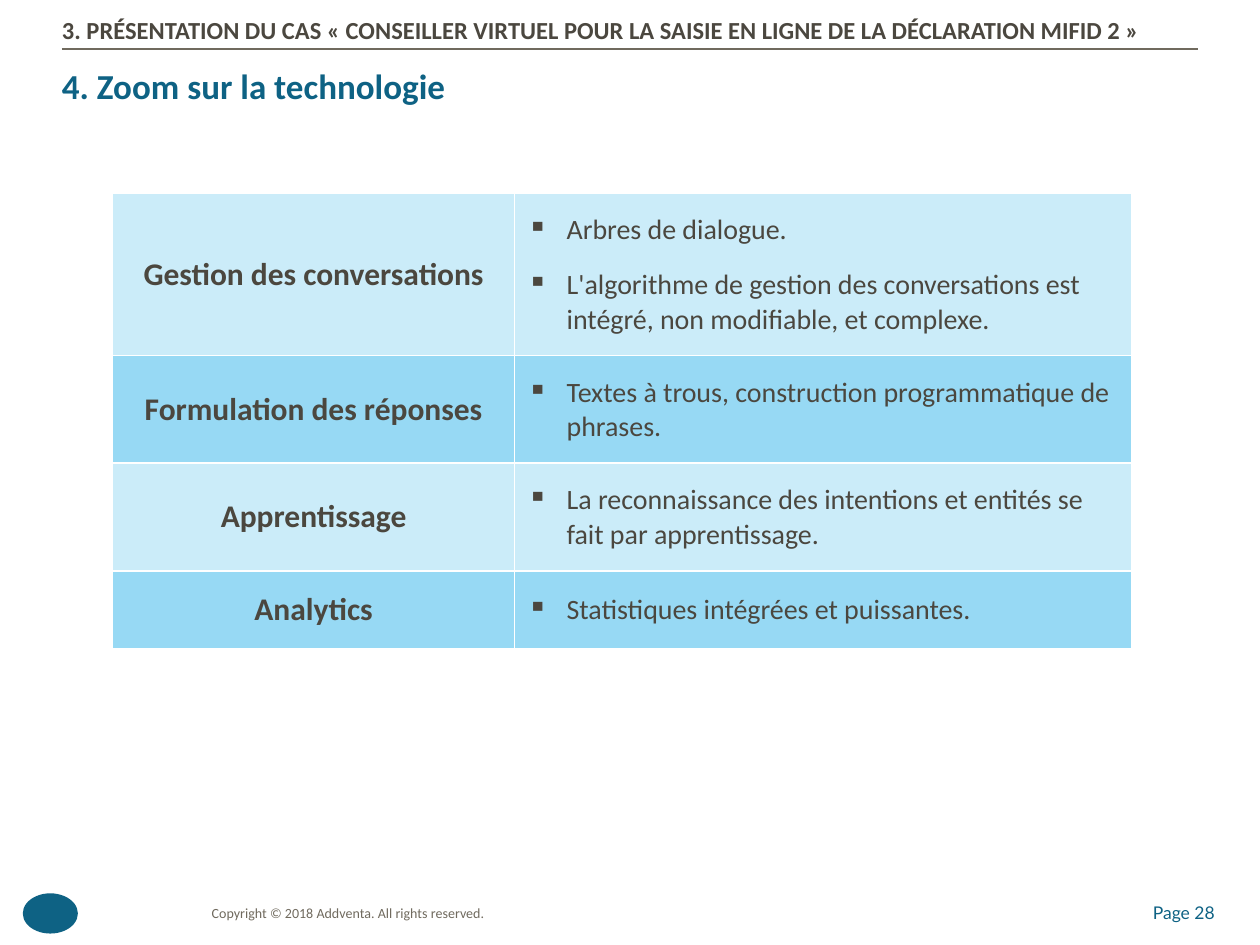
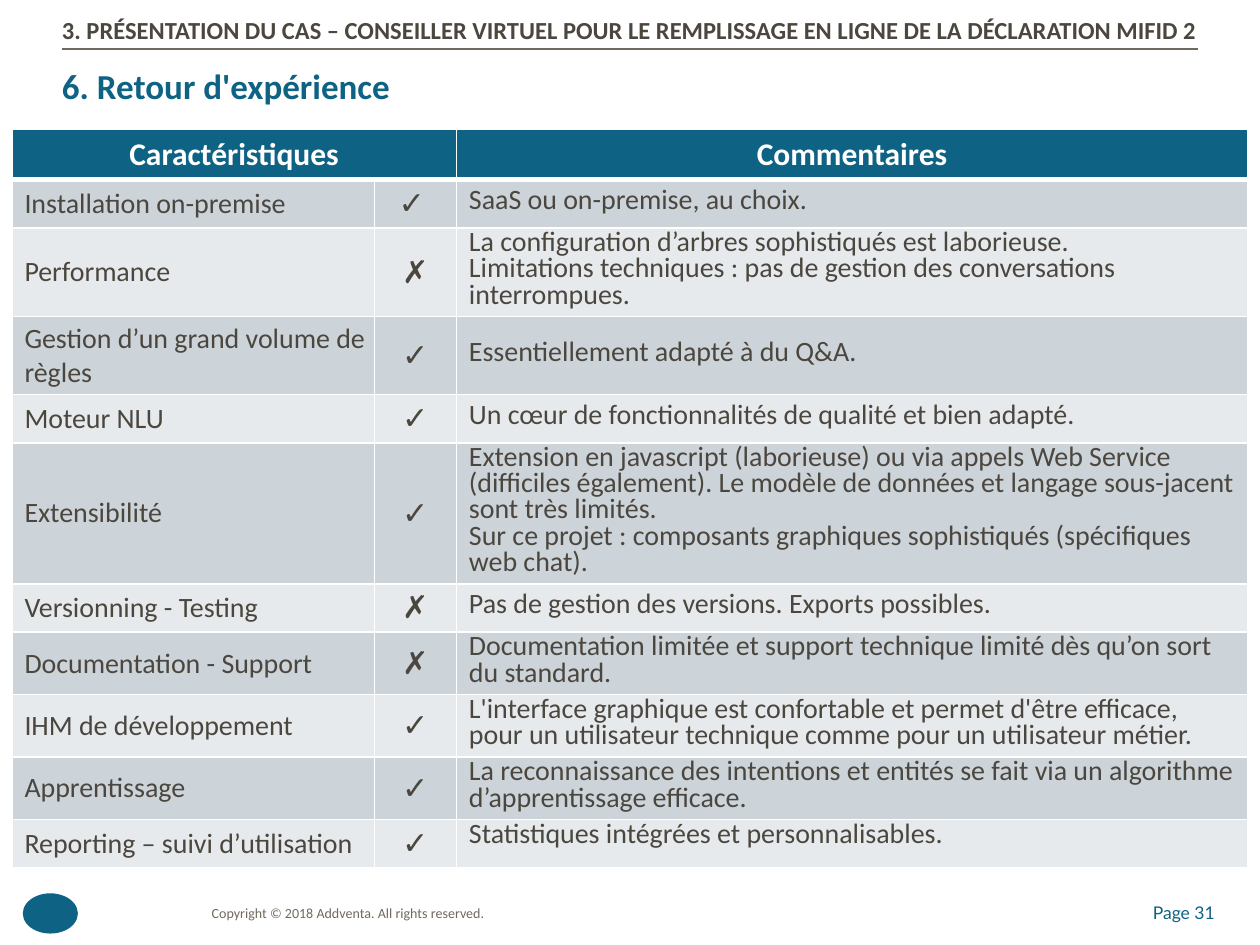
from dataclasses import dataclass

from lxml import etree
from pptx import Presentation
from pptx import util as u
from pptx.dml.color import RGBColor
from pptx.enum import shapes, text
from pptx.oxml import ns

Pt = u.Pt
CENTER, RIGHT = text.PP_ALIGN.CENTER, text.PP_ALIGN.RIGHT
TOP, MIDDLE = text.MSO_ANCHOR.TOP, text.MSO_ANCHOR.MIDDLE

# ---- Content ----
COPYRIGHT = "Copyright © 2018 Addventa. All rights reserved."

TECHNOLOGY = {
    "page": 28,
    "chapter": "3. PRÉSENTATION DU CAS « CONSEILLER VIRTUEL POUR LA SAISIE "
               "EN LIGNE DE LA DÉCLARATION MIFID 2 »",
    "heading": "4. Zoom sur la technologie",
    # topic, points, row height
    "topics": [
        ("Gestion des conversations",
         ["Arbres de dialogue.",
          "L'algorithme de gestion des conversations est intégré, "
          "non modifiable, et complexe."], 93),
        ("Formulation des réponses",
         ["Textes à trous, construction programmatique de phrases."], 61.5),
        ("Apprentissage",
         ["La reconnaissance des intentions et entités se fait par "
          "apprentissage."], 61.5),
        ("Analytics", ["Statistiques intégrées et puissantes."], 44.5),
    ],
}

FEEDBACK = {
    "page": 31,
    "chapter": "3. PRÉSENTATION DU CAS – CONSEILLER VIRTUEL POUR LE "
               "REMPLISSAGE EN LIGNE DE LA DÉCLARATION MIFID 2",
    "heading": "6. Retour d'expérience",
    "headers": ("Caractéristiques", "Commentaires"),
    # feature, verdict, comments, row height
    "features": [
        ("Installation on-premise", "✓ ",
         ["SaaS ou on-premise, au choix."], 27.6),
        ("Performance", "✗",
         ["La configuration d’arbres sophistiqués est laborieuse.",
          "Limitations techniques : pas de gestion des conversations "
          "interrompues."], 50.7),
        ("Gestion d’un grand volume de règles", "✓",
         ["Essentiellement adapté à du Q&A."], 44.6),
        ("Moteur NLU", "✓",
         ["Un cœur de fonctionnalités de qualité et bien adapté."], 27.6),
        ("Extensibilité", "✓",
         ["Extension en javascript (laborieuse) ou via appels Web Service "
          "(difficiles également). Le modèle de données et langage "
          "sous-jacent sont très limités.",
          "Sur ce projet : composants graphiques sophistiqués "
          "(spécifiques web chat)."], 80.6),
        ("Versionning - Testing", "✗",
         ["Pas de gestion des versions. Exports possibles."], 27.6),
        ("Documentation - Support", "✗",
         ["Documentation limitée et support technique limité dès qu’on "
          "sort du standard."], 35.7),
        ("IHM de développement", "✓",
         ["L'interface graphique est confortable et permet d'être "
          "efficace, pour un utilisateur technique comme pour un "
          "utilisateur métier."], 35.7),
        ("Apprentissage", "✓",
         ["La reconnaissance des intentions et entités se fait via un "
          "algorithme d’apprentissage efficace."], 35.7),
        ("Reporting – suivi d’utilisation", "✓",
         ["Statistiques intégrées et personnalisables."], 27.6),
    ],
}


# ---- Theme ----
@dataclass(frozen=True)
class Theme:
    font: str = "Calibri"
    page_font: str = "Lato"
    ink: str = "4B473F"
    muted: str = "706A5E"
    accent: str = "0E6284"
    white: str = "FFFFFF"
    blue_bands: tuple = ("CBECF9", "97D9F4")
    grey_bands: tuple = ("CCD3D9", "E7EAED")
    heading: int = 20
    label: int = 18
    body: int = 16
    chapter: int = 14
    page: int = 10
    copyright: int = 8


THEME = Theme()
WIDTH, HEIGHT = 720, 540
MARGIN = 35.4
BULLET_INDENT = 22.5


def rgb(color):
    return RGBColor.from_string(color)


# ---- Text ----
def write(frame, lines, size, color=THEME.ink, bold=False, font=THEME.font,
          align=None, leading=None, gap=0, bullet=None):
    frame.word_wrap = True
    for i, line in enumerate(lines):
        paragraph = frame.paragraphs[0] if i == 0 else frame.add_paragraph()
        paragraph.alignment = align
        if leading:
            paragraph.line_spacing = leading
        paragraph.space_before = Pt(gap if i else 0)
        if bullet:
            props = paragraph._p.get_or_add_pPr()
            props.set("marL", str(Pt(BULLET_INDENT)))
            props.set("indent", str(-Pt(BULLET_INDENT)))
            etree.SubElement(props, ns.qn("a:buChar")).set("char", bullet)
        run = paragraph.add_run()
        run.text = line
        run.font.name, run.font.size, run.font.bold = font, Pt(size), bold
        run.font.color.rgb = rgb(color)


def set_insets(target, left, top, right, bottom):
    target.margin_left, target.margin_top = Pt(left), Pt(top)
    target.margin_right, target.margin_bottom = Pt(right), Pt(bottom)


def add_text(slide, box, line, size, insets=(0, 0, 0, 0), anchor=TOP, **style):
    frame = slide.shapes.add_textbox(*map(Pt, box)).text_frame
    set_insets(frame, *insets)
    frame.vertical_anchor = anchor
    write(frame, [line], size, **style)


# ---- Tables ----
def add_grid(slide, left, top, widths, heights):
    table = slide.shapes.add_table(
        len(heights), len(widths), Pt(left), Pt(top),
        Pt(sum(widths)), Pt(sum(heights))).table
    table.first_row = table.horz_banding = False
    for column, width in zip(table.columns, widths):
        column.width = Pt(width)
    for row, height in zip(table.rows, heights):
        row.height = Pt(height)
    return table


def style_cell(cell, fill, insets, anchor=MIDDLE, above=1, below=1):
    cell.fill.solid()
    cell.fill.fore_color.rgb = rgb(fill)
    set_insets(cell, *insets)
    cell.vertical_anchor = anchor
    props = cell._tc.get_or_add_tcPr()
    edges = (("lnL", 1), ("lnR", 1), ("lnT", above), ("lnB", below))
    for i, (edge, width) in enumerate(edges):
        border = etree.Element(ns.qn("a:" + edge), w=str(Pt(width)))
        paint = etree.SubElement(border, ns.qn("a:solidFill"))
        etree.SubElement(paint, ns.qn("a:srgbClr"), val=THEME.white)
        props.insert(i, border)


# ---- Shared frame: chapter, rule, heading, footer ----
def add_page(deck, content):
    slide = deck.slides.add_slide(deck.slide_layouts[6])
    add_text(slide, (110, 518.4, 178, 6), COPYRIGHT, THEME.copyright,
             anchor=MIDDLE, color=THEME.muted, align=CENTER)
    add_text(slide, (633.6, 518.4, 60.5, 6), f"Page {content['page']}",
             THEME.page, anchor=MIDDLE, color=THEME.accent,
             font=THEME.page_font, align=RIGHT)

    emblem = slide.shapes.add_shape(
        shapes.MSO_SHAPE.OVAL, Pt(13), Pt(510.5), Pt(31.5), Pt(23))
    emblem.shadow.inherit = False
    emblem.fill.solid()
    emblem.fill.fore_color.rgb = rgb(THEME.accent)
    emblem.line.fill.background()

    rule = slide.shapes.add_connector(
        shapes.MSO_CONNECTOR.STRAIGHT,
        Pt(MARGIN), Pt(28), Pt(WIDTH - MARGIN), Pt(28))
    rule.line.color.rgb = rgb(THEME.muted)
    rule.line.width = Pt(0.75)
    etree.SubElement(rule._element.spPr, ns.qn("a:effectLst"))

    add_text(slide, (MARGIN, 36, 667, 42.5), content["heading"],
             THEME.heading, insets=(0, 3, 0, 0), color=THEME.accent,
             bold=True, leading=Pt(22))
    add_text(slide, (MARGIN, 7.2, WIDTH - MARGIN, 27.4), content["chapter"],
             THEME.chapter, insets=(0, 3.6, 7.2, 3.6), bold=True, leading=0.9)
    return slide


# ---- Slide: technology ----
def build_technology(deck):
    slide = add_page(deck, TECHNOLOGY)
    topics = TECHNOLOGY["topics"]
    table = add_grid(slide, 64.4, 110.2, (229.7, 352.8),
                     [height for *_, height in topics])
    insets = (7.2, 11.5, 7.2, 11.5)
    for r, (topic, points, _) in enumerate(topics):
        fill = THEME.blue_bands[r % 2]
        topic_cell, points_cell = table.cell(r, 0), table.cell(r, 1)
        style_cell(topic_cell, fill, insets)
        write(topic_cell.text_frame, [topic], THEME.label, bold=True,
              align=CENTER)
        style_cell(points_cell, fill, insets,
                   anchor=MIDDLE if r == len(topics) - 1 else TOP)
        write(points_cell.text_frame, points, THEME.body, gap=12, bullet="▪")


# ---- Slide: feedback ----
def build_feedback(deck):
    slide = add_page(deck, FEEDBACK)
    features = FEEDBACK["features"]
    table = add_grid(slide, 6.8, 73.8, (207.2, 46.8, 452.2),
                     [28.8] + [height for *_, height in features])

    # Header row, first title over two columns
    table.cell(0, 0).merge(table.cell(0, 1))
    for c in range(3):
        style_cell(table.cell(0, c), THEME.accent, (7.2, 3.6, 7.2, 3.6),
                   anchor=TOP, below=3)
    for c, header in zip((0, 2), FEEDBACK["headers"]):
        write(table.cell(0, c).text_frame, [header], THEME.label,
              color=THEME.white, bold=True, align=CENTER)

    # Feature rows
    for r, (feature, verdict, comments, _) in enumerate(features, 1):
        columns = (
            ([feature], THEME.body, 0, {}),
            ([verdict], THEME.label, 7.2, {"align": CENTER}),
            (comments, THEME.body, 7.2, {"leading": Pt(15)}),
        )
        for c, (lines, size, right, style) in enumerate(columns):
            cell = table.cell(r, c)
            at_top = c == 2 and r == len(features)
            style_cell(cell, THEME.grey_bands[(r - 1) % 2],
                       (7.2, 2.8, right, 2.8),
                       anchor=TOP if at_top else MIDDLE,
                       above=3 if r == 1 else 1)
            write(cell.text_frame, lines, size, **style)


def main():
    deck = Presentation()
    deck.slide_width, deck.slide_height = Pt(WIDTH), Pt(HEIGHT)
    build_technology(deck)
    build_feedback(deck)
    deck.save("out.pptx")


if __name__ == "__main__":
    main()
